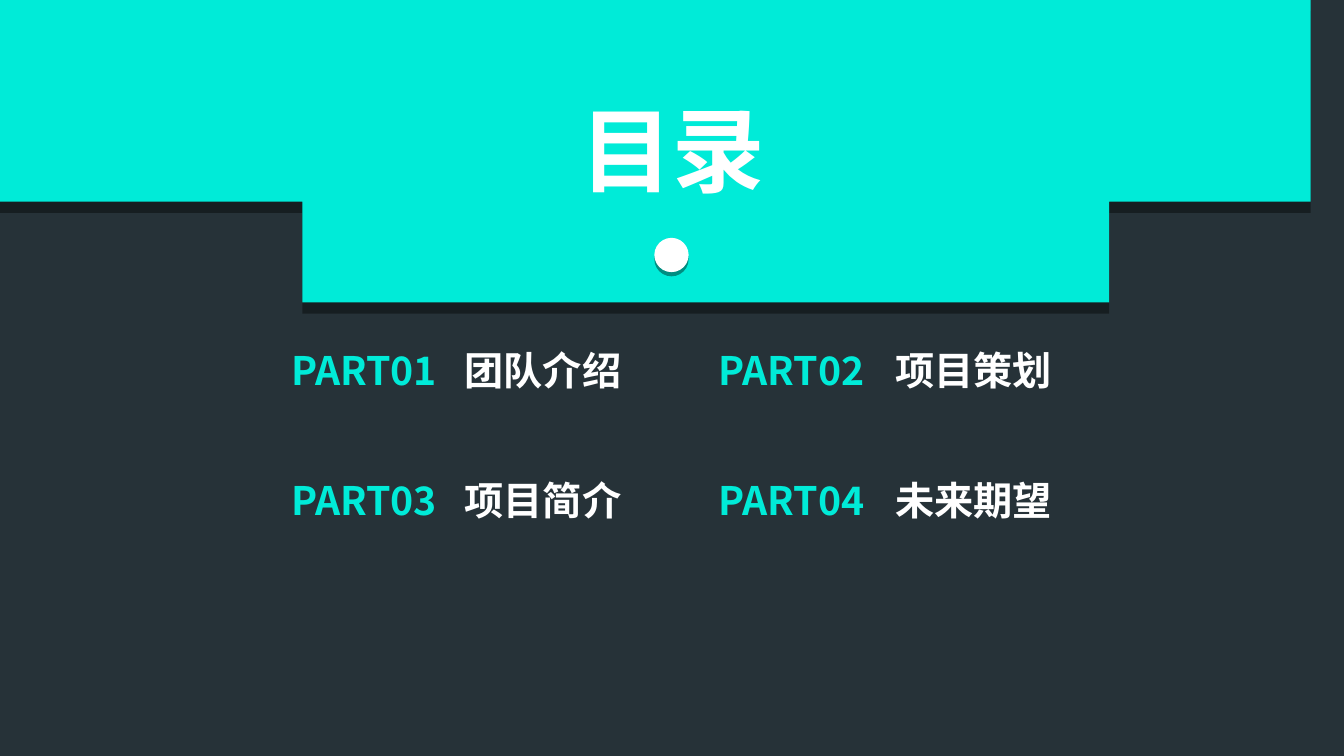
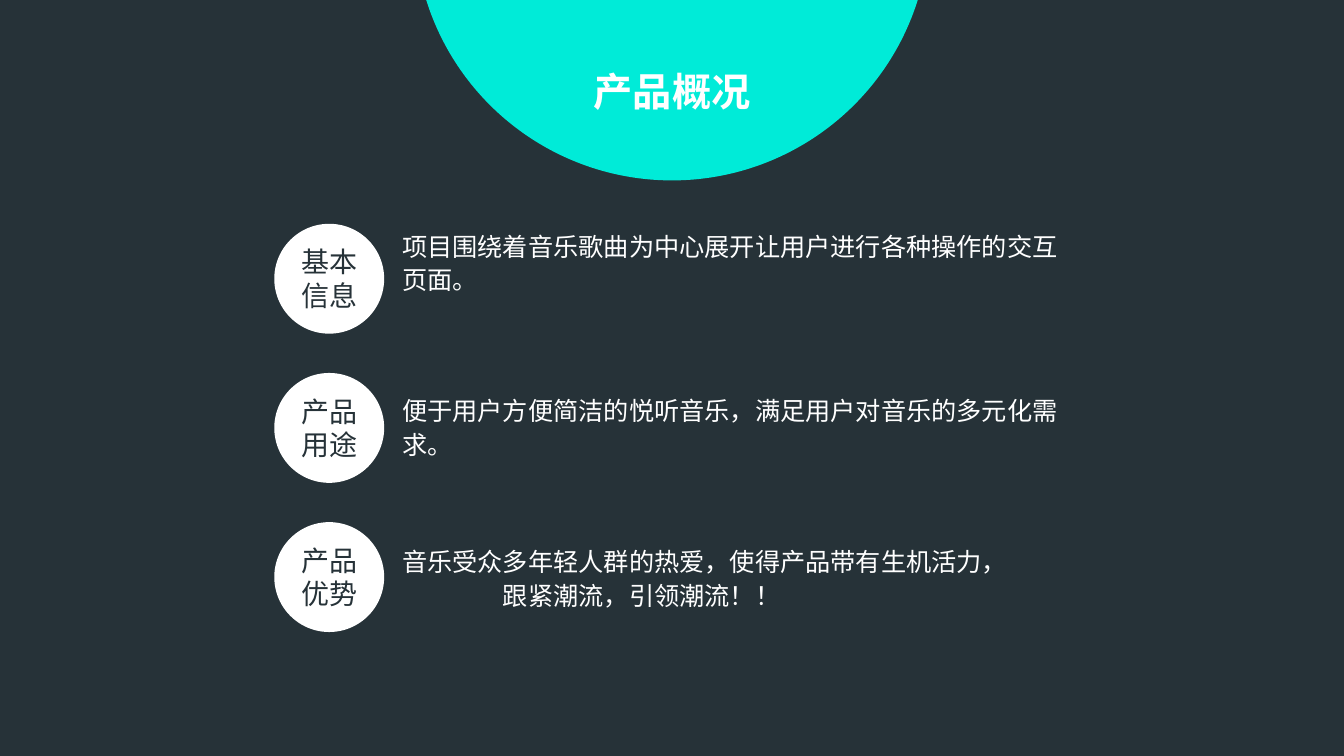
from dataclasses import dataclass
from typing import Any

from lxml import etree
from pptx import Presentation
from pptx import util as u
from pptx.dml.color import RGBColor
from pptx.enum import shapes, text
from pptx.oxml.ns import qn

COLORS = {"dark": "263238", "accent": "00EBD8", "white": "FFFFFF", "shadow": "000000"}
FONT = "Noto Sans CJK SC"
LEFT, CENTER = text.PP_ALIGN.LEFT, text.PP_ALIGN.CENTER
TITLE_ONLY = 5
SLIDE_W, SLIDE_H = 13.33, 7.5


@dataclass
class Box:
    left: float
    top: float
    width: float
    height: float

    def lengths(self) -> list[u.Length]:
        return [u.Inches(v) for v in (self.left, self.top, self.width, self.height)]


@dataclass
class Style:
    size: int
    color: str
    bold: bool = False
    align: Any = LEFT
    spacing: int | None = None


@dataclass
class Part:
    number: str
    name: str


@dataclass
class Topic:
    label: str
    lines: list[str]
    text_top: float


HEADING = Style(28, "white", True)
NUMBER = Style(28, "accent", True)
LABEL = Style(20, "dark", align=CENTER, spacing=24)
BODY = Style(18, "white", spacing=24)

PARTS = [Part("PART01", "团队介绍"), Part("PART02", "项目策划"),
         Part("PART03", "项目简介"), Part("PART04", "未来期望")]
# Per column: left and width of the number, then of the name
COLUMNS = [(2.79, 1.72, 4.51, 1.87), (7.03, 1.76, 8.78, 1.76)]

TOPICS = [
    Topic("基本信息", ["项目围绕着音乐歌曲为中心展开让用户进行各种操作的交互页面。"], 2.21),
    Topic("产品用途", ["便于用户方便简洁的悦听音乐，满足用户对音乐的多元化需求。"], 3.84),
    Topic("产品优势", ["音乐受众多年轻人群的热爱，使得产品带有生机活力，",
                   "跟紧潮流，引领潮流！！"], 5.34),
]


# Shared helpers
def rgb(name: str) -> RGBColor:
    return RGBColor.from_string(COLORS[name])


def write(tf: Any, lines: list[str], style: Style) -> None:
    """Fill a text frame; lines after the first are indented by an inch."""
    tf.word_wrap = True
    for i, line in enumerate(lines):
        p = tf.paragraphs[0] if i == 0 else tf.add_paragraph()
        p.alignment = style.align
        if style.spacing:
            p.line_spacing = u.Pt(style.spacing)
        if i:
            p._p.get_or_add_pPr().set("marL", str(u.Inches(1)))
        r = p.add_run()
        r.text = line
        for name, value in {"size": u.Pt(style.size), "bold": style.bold, "name": FONT}.items():
            setattr(r.font, name, value)
        r.font.color.rgb = rgb(style.color)
        etree.SubElement(r.font._element, qn("a:ea"), typeface=FONT)


def add_text(parent: Any, box: Box, lines: list[str], style: Style) -> None:
    tf = parent.add_textbox(*box.lengths()).text_frame
    write(tf, lines, style)
    tf.auto_size = text.MSO_AUTO_SIZE.SHAPE_TO_FIT_TEXT


def paint(sp: Any, color: str, shadow_pt: float = 0) -> None:
    """Flat fill, no line, and an optional hard shadow straight below."""
    sp.fill.solid()
    sp.fill.fore_color.rgb = rgb(color)
    sp.line.fill.background()
    sp.shadow.inherit = False
    if shadow_pt:
        effects = sp.element.spPr.find(qn("a:effectLst"))
        shadow = etree.SubElement(effects, qn("a:outerShdw"), blurRad="0",
                                  dist=str(u.Pt(shadow_pt)), dir="5400000",
                                  algn="t", rotWithShape="0")
        tint = etree.SubElement(shadow, qn("a:srgbClr"), val=COLORS["shadow"])
        etree.SubElement(tint, qn("a:alpha"), val="40000")


def add_circle(parent: Any, left: float, top: float, size: float,
               color: str, shadow_pt: float = 0) -> None:
    box = Box(left, top, size, size)
    paint(parent.add_shape(shapes.MSO_SHAPE.OVAL, *box.lengths()), color, shadow_pt)


def add_slide(prs: Any) -> Any:
    s = prs.slides.add_slide(prs.slide_layouts[TITLE_ONLY])
    s.background.fill.solid()
    s.background.fill.fore_color.rgb = rgb("dark")
    return s


def set_title(s: Any, box: Box, title: str, size: int) -> None:
    """Place the title in front of the backdrop drawn so far."""
    sp = s.shapes.title
    s.shapes.element.append(sp.element)
    for name, value in zip(("left", "top", "width", "height"), box.lengths()):
        setattr(sp, name, value)
    write(sp.text_frame, [title], Style(size, "white", True, CENTER))
    sp.text_frame.auto_size = text.MSO_AUTO_SIZE.NONE
    sp.text_frame.vertical_anchor = text.MSO_ANCHOR.TOP


def bezier(points: list[tuple[float, float]], steps: int = 40) -> list[tuple[float, float]]:
    """Points along a cubic curve, without its start."""
    curve = []
    for i in range(1, steps + 1):
        t = i / steps
        weights = ((1 - t) ** 3, 3 * t * (1 - t) ** 2, 3 * t * t * (1 - t), t ** 3)
        curve.append((sum(w * x for w, (x, _) in zip(weights, points)),
                      sum(w * y for w, (_, y) in zip(weights, points))))
    return curve


def add_dome(s: Any) -> None:
    right = [(13.04, 1.89), (11.35, 2.48), (9.12, 2.83), (SLIDE_W / 2, 2.83)]
    left = [(SLIDE_W - x, y) for x, y in reversed(right)]
    outline = [(SLIDE_W, 0), (SLIDE_W, 1.79), right[0],
               *bezier(right), *bezier(left), (0, 1.79)]
    builder = s.shapes.build_freeform(0, 0, scale=u.Inches(1))
    builder.add_line_segments(outline, close=True)
    paint(builder.convert_to_shape(), "accent", shadow_pt=8)


# Slides
def contents_slide(prs: Any) -> None:
    s = add_slide(prs)
    add_dome(s)
    set_title(s, Box(5.27, 0.87, 2.8, 1.21), "目录", 66)
    add_circle(s.shapes, 6.49, 2.36, 0.34, "white", shadow_pt=3)
    for i, part in enumerate(PARTS):
        row, col = divmod(i, len(COLUMNS))
        number_left, number_w, name_left, name_w = COLUMNS[col]
        top = 3.39 + 1.29 * row
        group = s.shapes.add_group_shape().shapes
        add_text(group, Box(number_left, top, number_w, 0.57), [part.number], NUMBER)
        add_text(group, Box(name_left, top, name_w, 0.57), [part.name], HEADING)


def overview_slide(prs: Any) -> None:
    s = add_slide(prs)
    add_circle(s.shapes, 4.11, -3.32, 5.11, "accent")
    set_title(s, Box(5.72, 0.62, 1.89, 0.57), "产品概况", 28)
    for i, topic in enumerate(TOPICS):
        top = 2.22 + 1.48 * i
        add_text(s.shapes, Box(3.89, topic.text_top, 6.72, 0.75), topic.lines, BODY)
        group = s.shapes.add_group_shape().shapes
        add_circle(group, 2.72, top, 1.09, "white")
        add_text(group, Box(2.8, top + 0.16, 0.94, 0.77), [topic.label], LABEL)


def main() -> None:
    prs = Presentation()
    prs.slide_width, prs.slide_height = u.Inches(SLIDE_W), u.Inches(SLIDE_H)
    contents_slide(prs)
    overview_slide(prs)
    prs.save("out.pptx")


if __name__ == "__main__":
    main()
